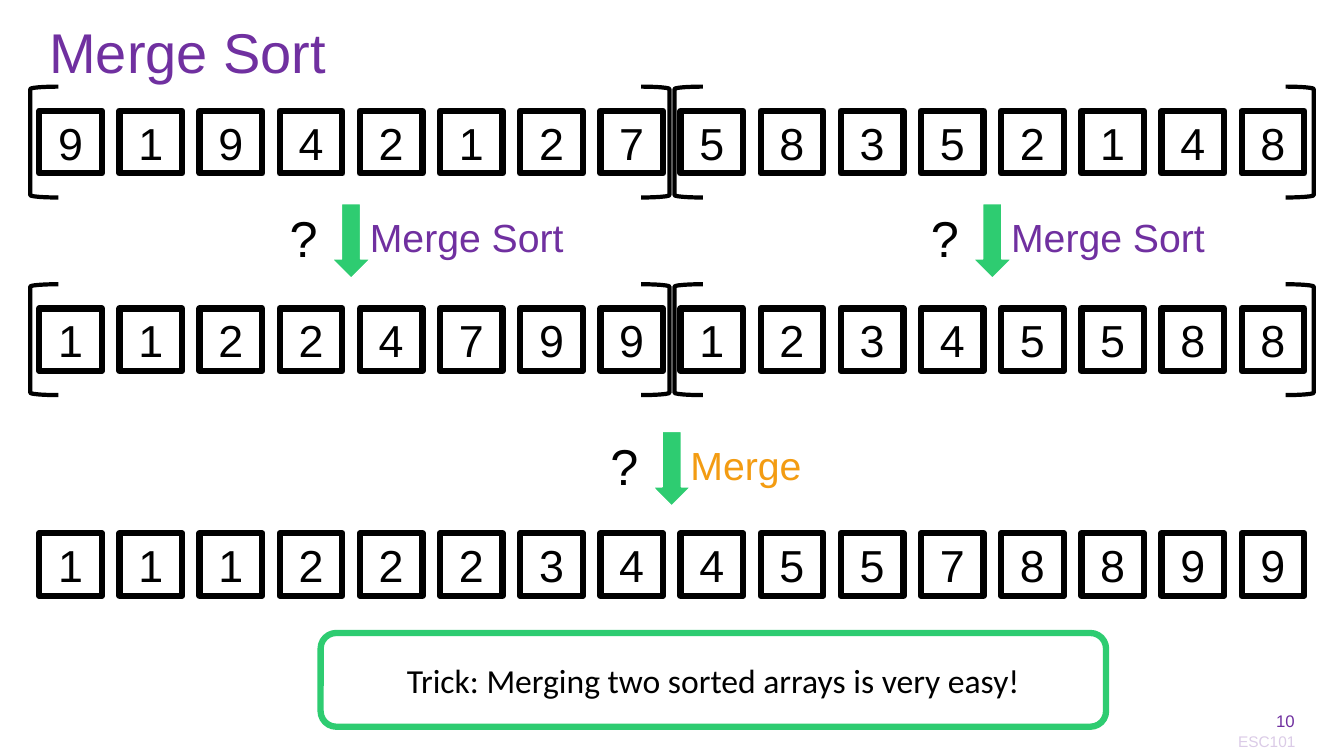
from pptx import Presentation
from pptx.dml.color import RGBColor
from pptx.enum.shapes import MSO_SHAPE
from pptx.enum.text import MSO_ANCHOR, PP_ALIGN
from pptx.util import Inches, Pt

RECT, ROUNDED = MSO_SHAPE.RECTANGLE, MSO_SHAPE.ROUNDED_RECTANGLE
ARROW = MSO_SHAPE.DOWN_ARROW
BRACKETS = (MSO_SHAPE.LEFT_BRACKET, MSO_SHAPE.RIGHT_BRACKET)
LEFT, CENTER, RIGHT = PP_ALIGN.LEFT, PP_ALIGN.CENTER, PP_ALIGN.RIGHT
TOP, MIDDLE = MSO_ANCHOR.TOP, MSO_ANCHOR.MIDDLE

BLACK = RGBColor(0x00, 0x00, 0x00)
WHITE = RGBColor(0xFF, 0xFF, 0xFF)
PURPLE = RGBColor(0x70, 0x30, 0xA0)
PALE_PURPLE = RGBColor(0xDB, 0xCB, 0xE7)
GREEN = RGBColor(0x2E, 0xCC, 0x71)
ORANGE = RGBColor(0xF3, 0x9C, 0x12)

# Grid of the arrays, in inches
MARGIN, PITCH, CELL = 0.39, 0.795, 0.62
UNSORTED_ROW, HALVES_ROW, MERGED_ROW = 1.1, 3.06, 5.29
HALF_STEP, HALF_WIDTH = 6.39, 6.34
BRACKET_W, BRACKET_H = 0.28, 1.1

UNSORTED = "9194212758352148"
SORTED_HALVES = "1122479912345588"
MERGED = "1112223445578899"


def col(i):
    return MARGIN + i * PITCH


def write(shape, text, size, color, align=LEFT, anchor=TOP, font="Arial"):
    tf = shape.text_frame
    tf.word_wrap = True
    tf.vertical_anchor = anchor
    p = tf.paragraphs[0]
    p.text = text
    p.alignment = align
    p.font.name, p.font.size = font, Pt(size)
    p.runs[0].font.color.rgb = color
    return p


def add_text(s, box, text, size, color, align=LEFT, anchor=TOP):
    tb = s.shapes.add_textbox(*map(Inches, box))
    return write(tb, text, size, color, align, anchor)


def add_box(s, kind, box, line, width, fill=None):
    sp = s.shapes.add_shape(kind, *map(Inches, box))
    sp.shadow.inherit = False
    sp.line.color.rgb = line
    sp.line.width = Pt(width)
    if fill is None:
        sp.fill.background()
    else:
        sp.fill.solid()
        sp.fill.fore_color.rgb = fill
    return sp


def add_array(s, row, digits):
    for i, digit in enumerate(digits):
        cell = add_box(s, RECT, (col(i), row, CELL, CELL), BLACK, 4.5, WHITE)
        write(cell, digit, 32, BLACK, CENTER, MIDDLE)


def add_half_brackets(s, row):
    top = row + (CELL - BRACKET_H) / 2
    for half in range(2):
        start = 0.3 + half * HALF_STEP
        for kind, x in zip(BRACKETS, (start, start + HALF_WIDTH - BRACKET_W)):
            add_box(s, kind, (x, top, BRACKET_W, BRACKET_H), BLACK, 3)


def add_step(s, column, top, label, color):
    """Question mark, arrow and label around the gap before a column."""
    center = col(column) - (PITCH - CELL) / 2
    add_box(s, ARROW, (center - 0.19, top, 0.38, 0.74), WHITE, 1, GREEN)
    add_text(s, (col(column - 1), top - 0.01, 0.8, 0.71), "?", 36, BLACK)
    add_text(s, (col(column), top + 0.05, 2.42, 0.57), label, 28, color)


def main():
    prs = Presentation()
    prs.slide_width, prs.slide_height = Inches(13.33), Inches(7.5)
    s = prs.slides.add_slide(prs.slide_layouts[6])

    # Title and footer
    title = add_text(s, (MARGIN, 0, 12.55, 1.1), "Merge Sort", 40, PURPLE, anchor=MIDDLE)
    title.line_spacing = 0.9
    add_text(s, (11.8, 7.21, 1.53, 0.29), "ESC101", 11, PALE_PURPLE, CENTER)
    add_text(s, (12.42, 6.95, 0.52, 0.4), "10", 12, PURPLE, RIGHT, MIDDLE)

    # Arrays
    add_array(s, UNSORTED_ROW, UNSORTED)
    add_array(s, HALVES_ROW, SORTED_HALVES)
    add_array(s, MERGED_ROW, MERGED)
    for row in (UNSORTED_ROW, HALVES_ROW):
        add_half_brackets(s, row)

    # Steps between the arrays
    for column in (4, 12):
        add_step(s, column, 2.02, "Merge Sort", PURPLE)
    add_step(s, 8, 4.28, "Merge", ORANGE)

    # Takeaway
    trick = add_box(s, ROUNDED, (3.18, 6.28, 7.79, 0.93), GREEN, 4.5, WHITE)
    write(trick, "Trick: Merging two sorted arrays is very easy!", 24, BLACK,
          CENTER, MIDDLE, "Calibri")

    prs.save("out.pptx")


if __name__ == "__main__":
    main()
